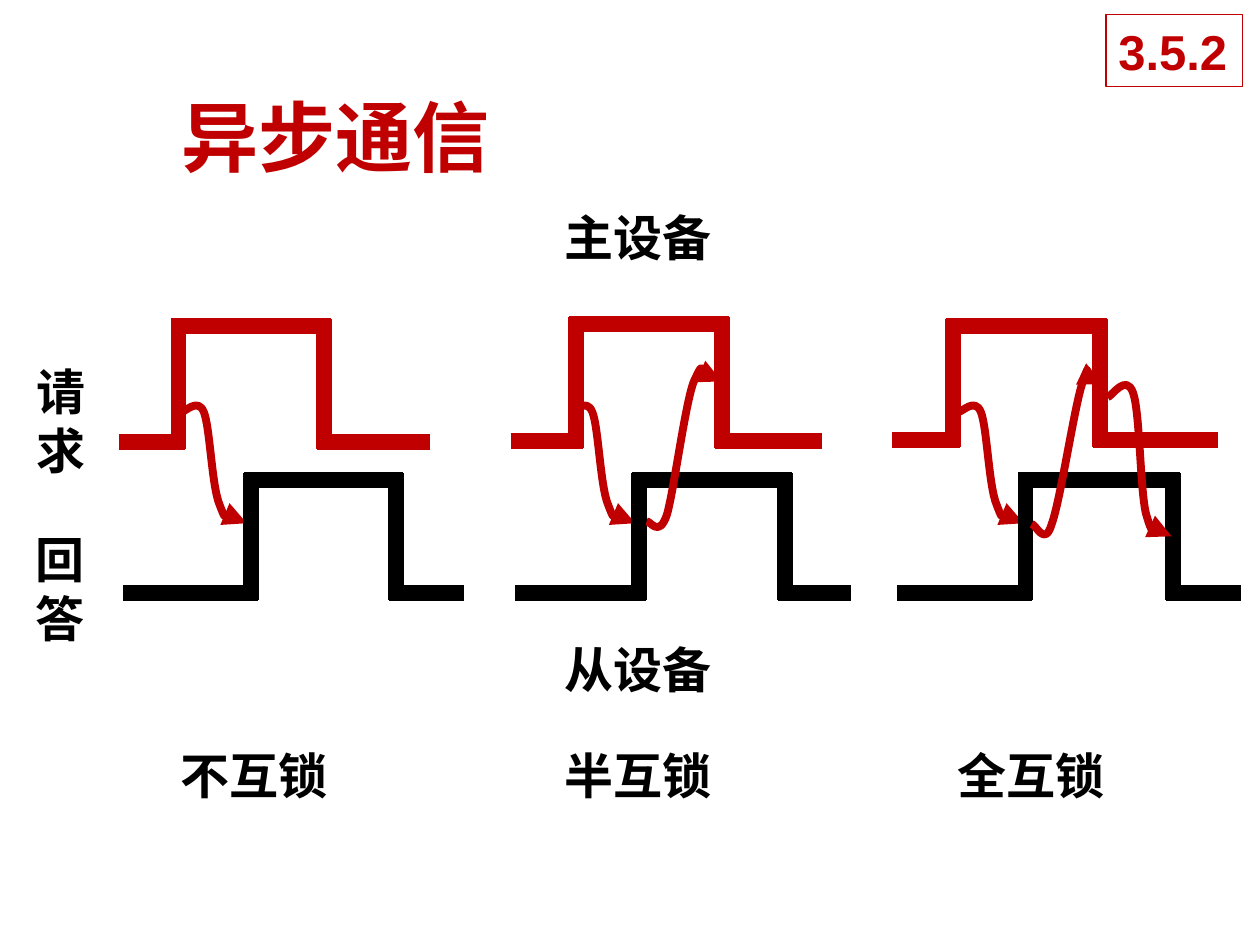
"""Build the asynchronous communication slide with its three handshake diagrams."""
from lxml import etree
from pptx import Presentation, util as u
from pptx.dml.color import RGBColor
from pptx.enum import shapes, text
from pptx.oxml.ns import qn

RED, BLACK, WHITE = "C00000", "000000", "FFFFFF"
OVERLAP = 4

LABELS = [
    ("不互锁", 96, 422.5, 150, 41),
    ("半互锁", 315.5, 422.5, 170, 41),
    ("全互锁", 540, 422.5, 144, 41),
    ("主设备", 315.5, 115, 182, 41),
    ("从设备", 315.5, 362, 212, 41),
    ("请\n求", 13.5, 203, 42.5, 74),
    ("回\n答", 13, 299, 42.5, 74),
]
# left, rise, fall, right, high, low
REQUESTS = [
    (68, 102, 185, 246, 186.5, 252.5),
    (292, 329, 412.5, 470, 185, 252),
    (510, 544.5, 628.5, 696, 186.5, 251.5),
]
ANSWERS = [
    (70.5, 143.5, 226.5, 265, 274.5, 339),
    (294.5, 365, 448.5, 486.5, 274.5, 339),
    (512.5, 586, 670.5, 709, 274.5, 339),
]
REQUEST_CURVE = [(103.5, 235.5), (106, 235.5), (113, 227), (116.5, 235.5), (120, 244),
                 (121, 278), (125.5, 288.5), (129.5, 299), (137.5, 296.5), (141, 299)]
CURVE_STEP = 222
REPLY_CURVES = [
    [(369.5, 298), (371.5, 297.5), (376.5, 307.5), (381, 294.5), (385, 281.5),
     (391.5, 230.5), (396.5, 218), (402.5, 205), (410.5, 218), (412.5, 218)],
    [(589.5, 299.5), (592, 299.5), (597, 313), (601, 299.5), (606, 286),
     (614, 232), (618.5, 219), (623.5, 205), (628, 219.5), (630, 219.5)],
    [(633, 227), (635, 227), (643.5, 213), (647.5, 224.5), (651.5, 235.5),
     (651.5, 281), (655, 294), (659, 307.5), (667.5, 302.5), (669.5, 304.5),
     (672, 306.5), (669.5, 306.5), (669.5, 306.5)],
]


def rgb(value):
    """Return the colour for a hex string."""
    return RGBColor.from_string(value)


def points(*lengths):
    """Convert lengths in points to slide units."""
    return [u.Pt(length) for length in lengths]


def write(shape, wording, size, font_name, color, wrap=True):
    """Put bold, left-aligned text into a shape, one paragraph per line."""
    frame = shape.text_frame
    frame.text = wording
    frame.word_wrap = wrap
    for paragraph in frame.paragraphs:
        paragraph.alignment = text.PP_ALIGN.LEFT
        font = paragraph.font
        font.size, font.bold, font.name = u.Pt(size), True, font_name
        font.color.rgb = rgb(color)


def add_title(slide, wording):
    """Place and format the slide title."""
    title = slide.shapes.title
    title.left, title.top, title.width, title.height = points(96.5, 47.5, 556.5, 60.5)
    write(title, wording, 44, "Noto Sans CJK SC", RED)
    title.text_frame.vertical_anchor = text.MSO_ANCHOR.MIDDLE


def add_section_number(slide, wording):
    """Add the framed section number."""
    section = slide.shapes.add_shape(shapes.MSO_SHAPE.RECTANGLE, *points(632, 8.5, 78, 41))
    section.shadow.inherit = False
    section.fill.solid()
    section.fill.fore_color.rgb = rgb(WHITE)
    section.line.color.rgb = rgb(RED)
    section.line.width = u.Pt(0.75)
    write(section, wording, 28, "Arial", RED, wrap=False)


def add_label(slide, wording, *place):
    """Add a black text label."""
    label = slide.shapes.add_textbox(*points(*place))
    write(label, wording, 28, "Times New Roman", BLACK, wrap="\n" not in wording)


def add_segment(slide, color, *ends):
    """Add one thick straight piece of a signal."""
    segment = slide.shapes.add_connector(shapes.MSO_CONNECTOR.STRAIGHT, *points(*ends))
    segment.line.color.rgb = rgb(color)
    segment.line.width = u.Pt(9)
    etree.SubElement(segment._element.spPr, qn("a:effectLst"))


def add_pulse(slide, color, left, rise, fall, right, high, low):
    """Add a signal that rises once and falls again."""
    for ends in [
        (left, low, rise + OVERLAP, low),
        (rise, high - OVERLAP, rise, low + OVERLAP),
        (rise - OVERLAP, high, fall + OVERLAP, high),
        (fall, high - OVERLAP, fall, low + OVERLAP),
        (fall - OVERLAP, low, right, low),
    ]:
        add_segment(slide, color, *ends)


def add_curved_arrow(slide, knots):
    """Add a red arrow along cubic curves, three knots to each after the start."""
    start, *rest = [points(*knot) for knot in knots]
    builder = slide.shapes.build_freeform(*start)
    builder.add_line_segments(rest, close=False)
    arrow = builder.convert_to_shape()
    outline = next(arrow._element.iter(qn("a:path")))
    steps = outline.findall(qn("a:lnTo"))
    for first in range(0, len(steps), 3):
        curve = etree.SubElement(outline, qn("a:cubicBezTo"))
        for step in steps[first:first + 3]:
            curve.append(step[0])
            outline.remove(step)
    arrow.shadow.inherit = False
    arrow.fill.background()
    arrow.line.color.rgb = rgb(RED)
    arrow.line.width = u.Pt(4.5)
    etree.SubElement(arrow.line._get_or_add_ln(), qn("a:tailEnd"), type="triangle")


def main():
    """Build and save the slide."""
    deck = Presentation()
    deck.slide_width, deck.slide_height = points(720, 540)
    slide = deck.slides.add_slide(deck.slide_layouts[5])
    add_title(slide, "异步通信")
    add_section_number(slide, "3.5.2")
    for label in LABELS:
        add_label(slide, *label)
    for index, (request, answer) in enumerate(zip(REQUESTS, ANSWERS)):
        add_pulse(slide, RED, *request)
        add_curved_arrow(slide, [(x + index * CURVE_STEP, y) for x, y in REQUEST_CURVE])
        add_pulse(slide, BLACK, *answer)
    for reply in REPLY_CURVES:
        add_curved_arrow(slide, reply)
    deck.save("out.pptx")


if __name__ == "__main__":
    main()
